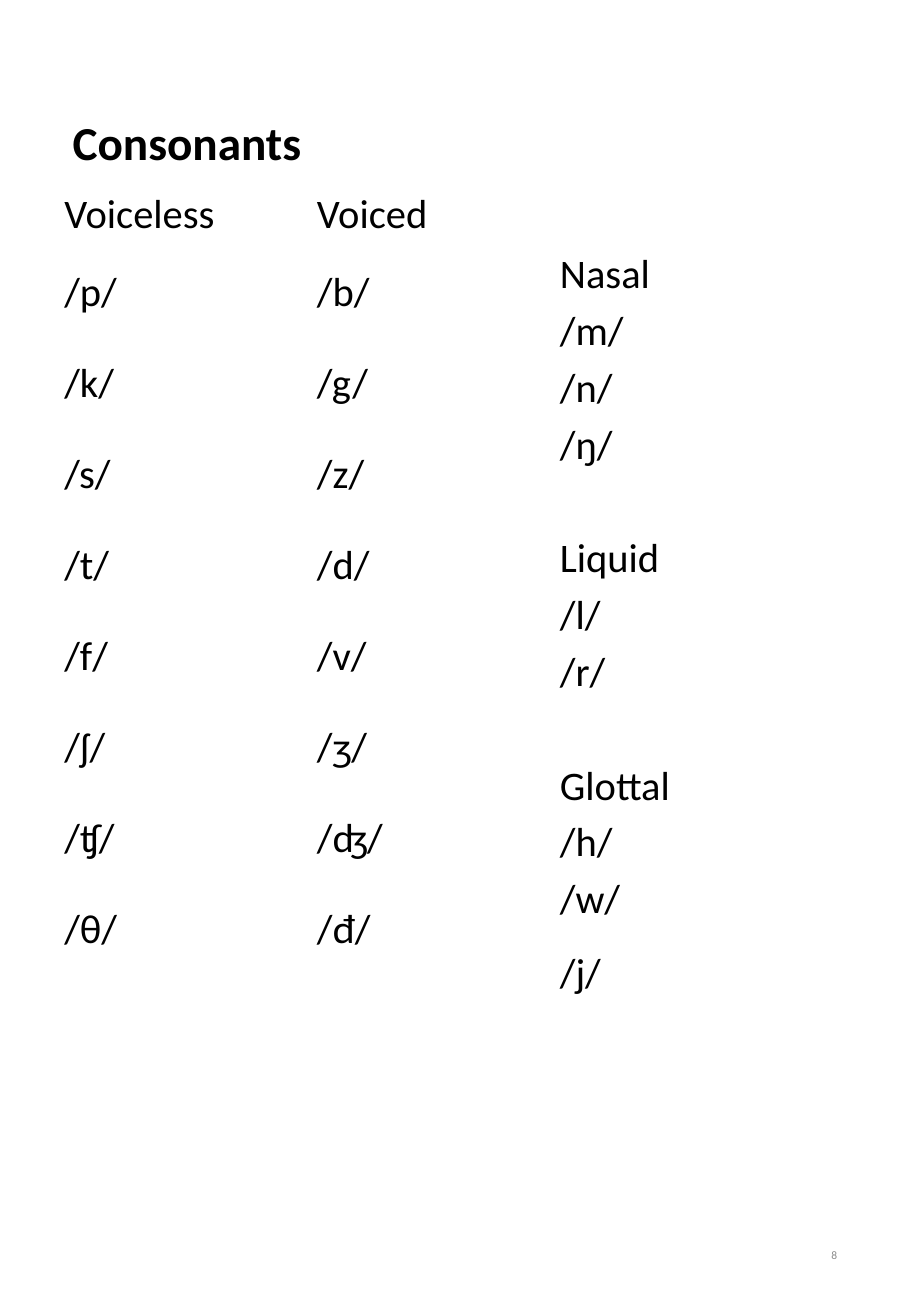
from pptx import Presentation
from pptx import util as u
from pptx.dml.color import RGBColor
from pptx.enum import text

WIDTH, HEIGHT = 7.5, 10.83
FONT, BLACK, GREY = "Calibri", "000000", "8C8C8C"
BODY_SIZE = 24
BLANK_LINE = 33.7  # one body line at 1.15 spacing, in points

VOICELESS = ["/p/", "/k/", "/s/", "/t/", "/f/", "/ʃ/", "/ʧ/", "/θ/"]
VOICED = ["/b/", "/g/", "/z/", "/d/", "/v/", "/ʒ/", "/ʤ/", "/đ/"]
OTHERS = {
    "Nasal": ["/m/", "/n/", "/ŋ/"],
    "Liquid": ["/l/", "/r/"],
    "Glottal": ["/h/", "/w/", "/j/"],
}


def colour(hex_string):
    return RGBColor.from_string(hex_string)


def style(paragraph, size, hex_string, bold=False):
    for run in paragraph.runs:
        run.font.name = FONT
        run.font.size = u.Pt(size)
        run.font.bold = bold
        run.font.color.rgb = colour(hex_string)


def fill_cell(cell, lines, spacing, after=10):
    cell.fill.background()
    cell.margin_left = cell.margin_right = u.Inches(0.07)
    cell.margin_top = cell.margin_bottom = 0
    cell.text_frame.text = "\n".join(lines)
    for paragraph in cell.text_frame.paragraphs:
        paragraph.line_spacing = spacing
        paragraph.space_after = u.Pt(after)
        style(paragraph, BODY_SIZE, BLACK)


def add_label(slide, box, words, size, hex_string, bold=False, align=None):
    label = slide.shapes.add_textbox(*map(u.Inches, box)).text_frame
    label.word_wrap = True
    label.vertical_anchor = text.MSO_ANCHOR.MIDDLE
    label.text = words
    label.paragraphs[0].alignment = align
    style(label.paragraphs[0], size, hex_string, bold)


def add_consonants(slide, box):
    frame = slide.shapes.add_table(2, 3, *map(u.Inches, box))
    table = frame.table
    table.first_row = table.horz_banding = False
    for column, width in zip(table.columns, (2.08, 2, 2)):
        column.width = u.Inches(width)
    for row, height in zip(table.rows, (0.5, box[3] - 0.5)):
        row.height = u.Inches(height)

    # Headings, the second one across two columns
    table.cell(0, 1).merge(table.cell(0, 2))
    fill_cell(table.cell(0, 0), ["Voiceless"], 1.15)
    fill_cell(table.cell(0, 1), ["Voiced"], 1.15)

    # Paired sounds
    fill_cell(table.cell(1, 0), VOICELESS, 1.5)
    fill_cell(table.cell(1, 1), VOICED, 1.5)

    # Unpaired sounds, with a line's gap between groups
    lines = [line for group, sounds in OTHERS.items() for line in (group, *sounds)]
    others = table.cell(1, 2)
    fill_cell(others, lines, 1.15, after=0)
    paragraphs = others.text_frame.paragraphs
    for paragraph in paragraphs[1:]:
        if paragraph.text in OTHERS:
            paragraph.space_before = u.Pt(BLANK_LINE)
    paragraphs[-1].line_spacing = 1.5
    paragraphs[-1].space_after = u.Pt(10)


deck = Presentation()
deck.slide_width, deck.slide_height = u.Inches(WIDTH), u.Inches(HEIGHT)
page = deck.slides.add_slide(deck.slide_layouts[6])

add_consonants(page, (0.46, 1.5, 6.08, 6.49))
add_label(page, (0.5, 0.88, 2.1, 0.57), "Consonants", 28, BLACK, bold=True)
add_label(page, (5.3, 10.04, 1.69, 0.58), "8", 6.8, GREY, align=text.PP_ALIGN.RIGHT)

deck.save("out.pptx")
